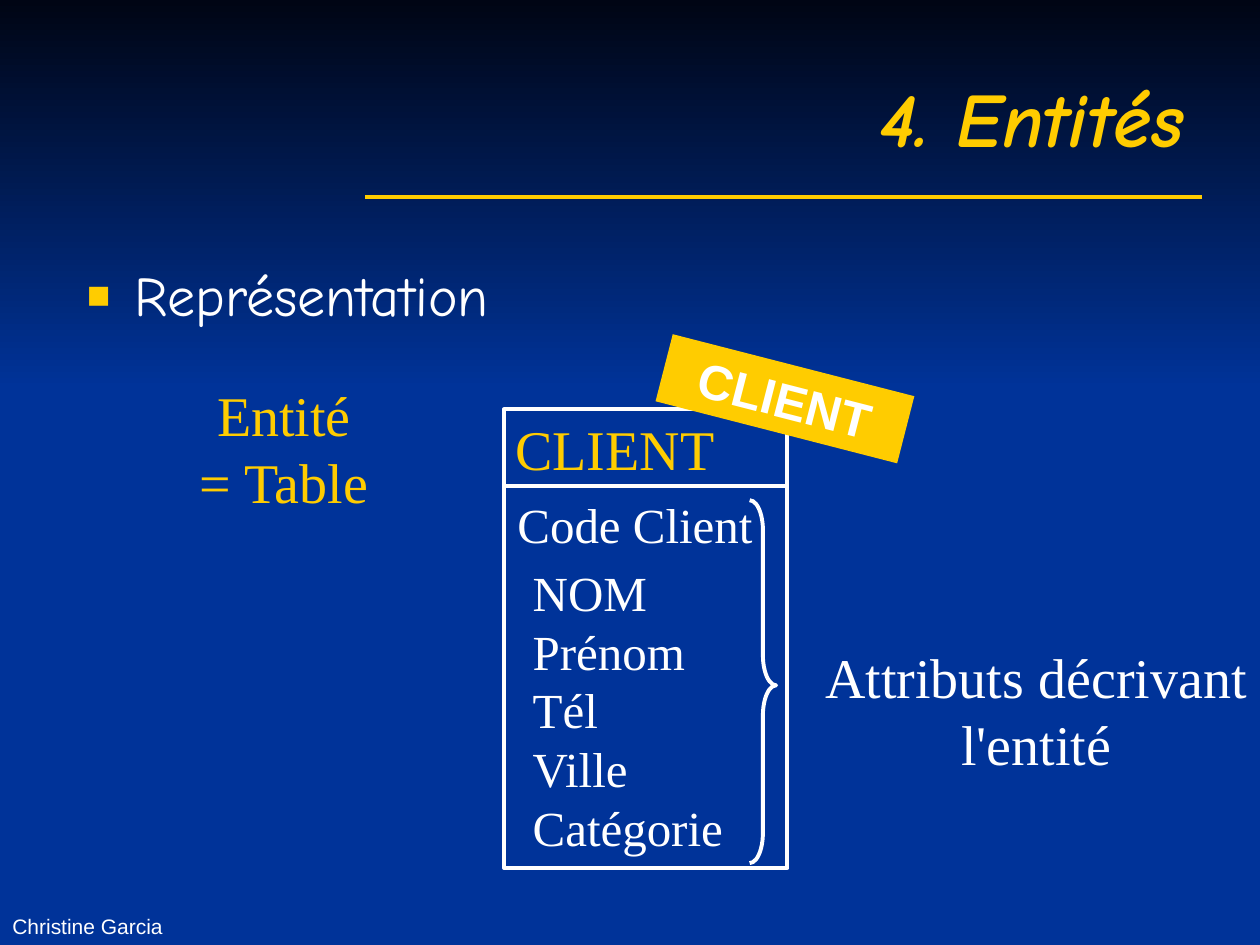
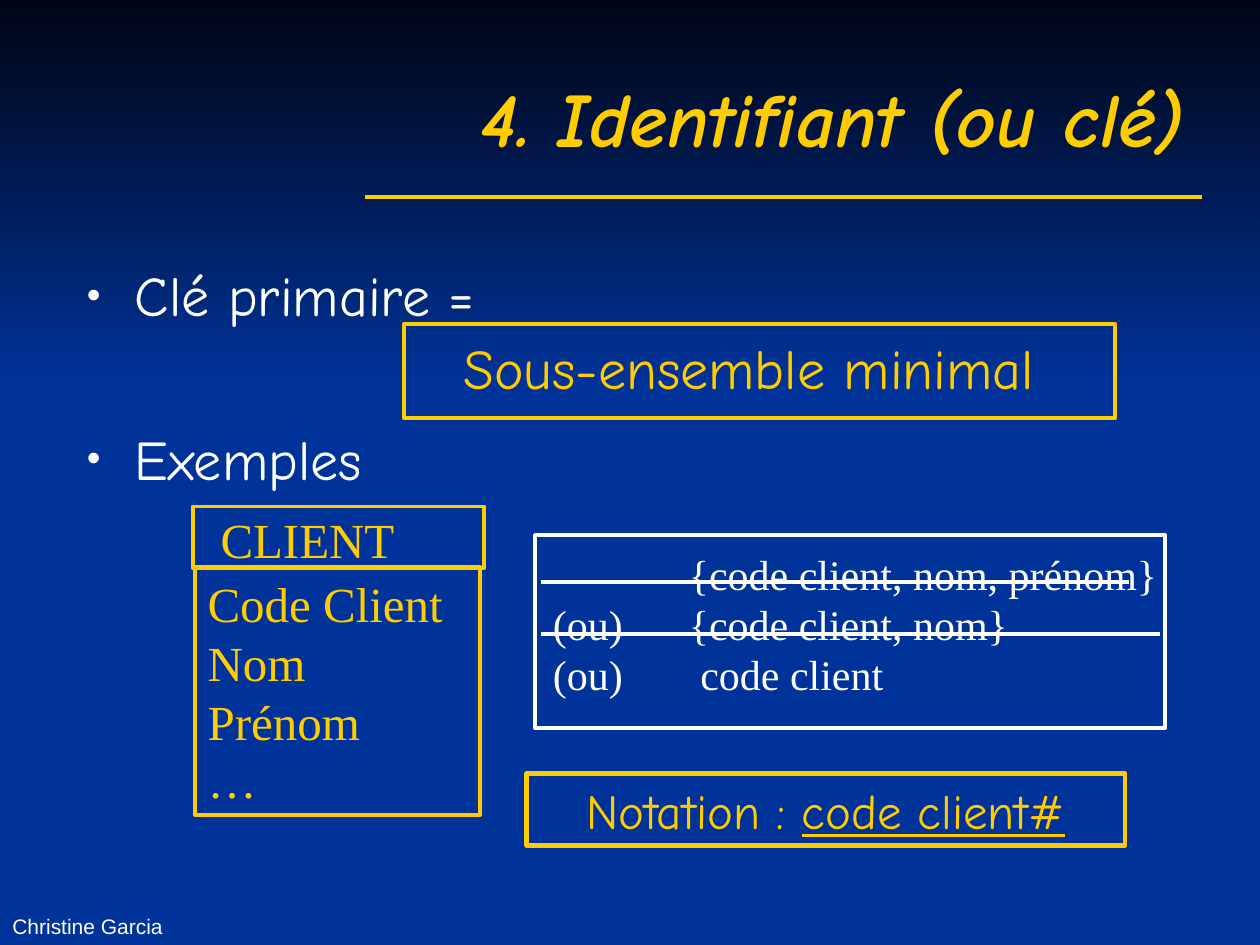
from lxml.etree import SubElement
from pptx import Presentation
from pptx.dml.color import RGBColor
from pptx.enum.shapes import MSO_CONNECTOR, MSO_SHAPE
from pptx.enum.text import MSO_ANCHOR, PP_ALIGN
from pptx.oxml.ns import qn
from pptx.util import Inches, Pt

BLUE, NIGHT, GOLD, WHITE = "003399", "000514", "FFCC00", "FFFFFF"
COMIC, TIMES, ARIAL = "Comic Neue", "Times New Roman", "Arial"
LEFT, CENTER, RIGHT = PP_ALIGN.LEFT, PP_ALIGN.CENTER, PP_ALIGN.RIGHT


def paint(fill, colour):
    fill.solid()
    fill.fore_color.rgb = RGBColor.from_string(colour)


def write(frame, text, size, colour, font, align, anchor=MSO_ANCHOR.MIDDLE):
    frame.text = text
    frame.word_wrap = align != CENTER
    frame.vertical_anchor = anchor
    for para in frame.paragraphs:
        para.alignment = align
        para.space_before = Pt(0)
        for span in para.runs:
            span.font.name = font
            span.font.size = Pt(size)
            paint(span.font.fill, colour)


deck = Presentation()
deck.slide_width, deck.slide_height = Inches(10), Inches(7.5)
paint(deck.slide_master.background.fill, BLUE)
layout = deck.slide_layouts[1]

# Title, list and author of each slide
slides = []
for heading, items, mark, mark_colour in (
    ("4. Entités", "Représentation", "■", GOLD),
    ("4. Identifiant (ou clé)", "Clé primaire =\nExemples", "•", WHITE),
):
    slide = deck.slides.add_slide(layout)
    slides.append(slide)

    title = slide.shapes.title
    title.left, title.top = Inches(0.5), Inches(0.3)
    title.width, title.height = Inches(9), Inches(1.25)
    write(title.text_frame, heading, 44, GOLD, COMIC, RIGHT)
    title_font = title.text_frame.paragraphs[0].runs[0].font
    title_font.bold = title_font.italic = True

    body = slide.placeholders[1]
    body.left, body.top = Inches(0.59), Inches(2.02)
    body.width, body.height = Inches(9), Inches(4.49)
    write(body.text_frame, items, 32, WHITE, COMIC, LEFT, MSO_ANCHOR.TOP)
    for number, para in enumerate(body.text_frame.paragraphs):
        para.space_before = Pt(55 * number)
        properties = para._p.get_or_add_pPr()
        properties.set("marL", str(Inches(0.38)))
        properties.set("indent", str(-Inches(0.38)))
        bullet_colour = SubElement(properties, qn("a:buClr"))
        SubElement(bullet_colour, qn("a:srgbClr"), val=mark_colour)
        SubElement(properties, qn("a:buSzPct"), val="70000")
        SubElement(properties, qn("a:buChar"), char=mark)

    author = slide.shapes.add_textbox(Inches(0), Inches(6.98), Inches(3.17), Inches(0.52))
    write(author.text_frame, "Christine Garcia", 12, WHITE, ARIAL, LEFT, MSO_ANCHOR.BOTTOM)

entity, key = slides

# Frames: slide, place, line colour, line width
for slide, place, colour, width in (
    (entity, (4, 3.25, 2.25, 3.64), WHITE, 2.25),
    (key, (3.21, 2.57, 5.64, 0.75), GOLD, 2.25),
    (key, (4.25, 4.25, 5, 1.53), WHITE, 2.25),
    (key, (1.55, 4.5, 2.26, 1.97), GOLD, 2.25),
    (key, (1.53, 4.02, 2.31, 0.49), GOLD, 2.25),
    (key, (4.18, 6.14, 4.75, 0.57), GOLD, 2.5),
):
    frame_box = slide.shapes.add_shape(MSO_SHAPE.RECTANGLE, *map(Inches, place))
    frame_box.shadow.inherit = False
    frame_box.fill.background()
    paint(frame_box.line.fill, colour)
    frame_box.line.width = Pt(width)

# The last frame holds the notation
write(frame_box.text_frame, "Notation : ", 28, GOLD, COMIC, CENTER)
span = frame_box.text_frame.paragraphs[0].add_run()
span.text = "code client#"
span.font.name, span.font.size, span.font.underline = COMIC, Pt(28), True
paint(span.font.fill, GOLD)

# Texts: slide, place, text, size, colour, font, alignment
candidates = "\t{code client, nom, prénom}\n(ou)\t{code client, nom}\n(ou)\tcode client"
for slide, place, text, size, colour, font, align in (
    (entity, (3.99, 3.24, 1.78, 0.64), "CLIENT", 32, GOLD, TIMES, CENTER),
    (entity, (1.47, 2.97, 1.57, 1.17), "Entité\n= Table", 32, GOLD, TIMES, CENTER),
    (entity, (3.94, 3.87, 2.2, 0.57), "Code Client", 28, WHITE, TIMES, CENTER),
    (entity, (4.13, 4.41, 1.8, 2.44), "NOM\nPrénom\nTél\nVille\nCatégorie",
     28, WHITE, TIMES, LEFT),
    (entity, (6.4, 5.05, 3.65, 1.17), "Attributs décrivant\nl'entité",
     32, WHITE, TIMES, CENTER),
    (key, (3.48, 2.59, 4.93, 0.64), "Sous-ensemble minimal", 32, GOLD, COMIC, CENTER),
    (key, (1.65, 3.99, 1.58, 0.57), "CLIENT", 28, GOLD, TIMES, CENTER),
    (key, (1.55, 4.5, 2.26, 1.97), "Code Client\nNom\nPrénom\n…", 28, GOLD, TIMES, LEFT),
    (key, (4.29, 4.3, 5.17, 1.3), candidates, 24, WHITE, TIMES, LEFT),
):
    box = slide.shapes.add_textbox(*map(Inches, place))
    write(box.text_frame, text, size, colour, font, align)

# Tab stops of the candidate keys, the last box
for para, stop in zip(box.text_frame.paragraphs, (1.08, 1.08, 1.17)):
    tabs = SubElement(para._p.get_or_add_pPr(), qn("a:tabLst"))
    SubElement(tabs, qn("a:tab"), pos=str(Inches(stop)), algn="l")

# Brace around the attributes
brace = entity.shapes.add_shape(
    MSO_SHAPE.RIGHT_BRACE, Inches(5.95), Inches(3.97), Inches(0.21), Inches(2.88))
brace.adjustments[0], brace.adjustments[1] = 1.14, 0.51
brace.shadow.inherit = False
brace.fill.background()
paint(brace.line.fill, WHITE)
brace.line.width = Pt(2.25)

# Tilted tag
tag = entity.shapes.add_shape(
    MSO_SHAPE.RECTANGLE, Inches(5.24), Inches(2.89), Inches(1.98), Inches(0.55))
tag.rotation = 14.4
tag.shadow.inherit = False
paint(tag.fill, GOLD)
tag.line.fill.background()
write(tag.text_frame, "CLIENT", 28, WHITE, ARIAL, CENTER)
tag.text_frame.paragraphs[0].runs[0].font.bold = True

# Horizontal lines: slide, start, end, height, colour, width
for slide, start, end, height, colour, width in (
    (entity, 3.99, 6.26, 3.86, WHITE, 2.25),
    (key, 4.29, 8.96, 4.62, WHITE, 2.25),
    (key, 4.29, 9.21, 5.03, WHITE, 2.25),
    (key, 2.9, 9.54, 1.56, GOLD, 2.25),
):
    rule = slide.shapes.add_connector(
        MSO_CONNECTOR.STRAIGHT, Inches(start), Inches(height), Inches(end), Inches(height))
    paint(rule.line.fill, colour)
    rule.line.width = Pt(width)
    SubElement(rule._element.spPr, qn("a:effectLst"))

# Gradient band; it moves to the layout with the title rule, the last line
band = key.shapes.add_shape(MSO_SHAPE.RECTANGLE, 0, 0, Inches(10), Inches(3.09))
band.shadow.inherit = False
band.line.fill.background()
band.fill.gradient()
band.fill.gradient_angle = 270
for stop, colour, position in zip(band.fill.gradient_stops, (NIGHT, BLUE), (0, 1)):
    stop.color.rgb = RGBColor.from_string(colour)
    stop.position = position
for shared in (rule, band):
    layout.shapes._spTree.insert(2, shared._element)

deck.save("out.pptx")
